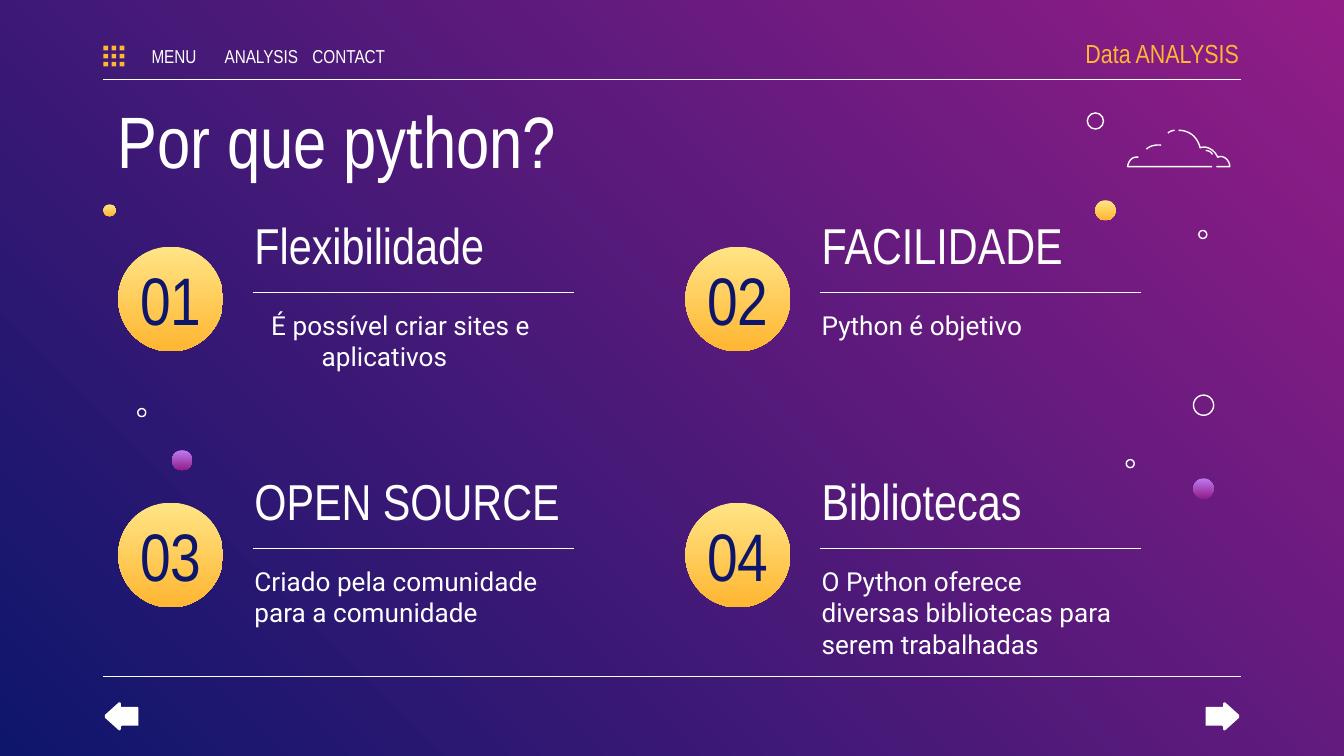
from dataclasses import dataclass
from itertools import product
from typing import Optional

import lxml.etree
import pptx
import pptx.dml.color
import pptx.dml.fill
import pptx.enum.shapes
import pptx.enum.text
import pptx.oxml.ns
import pptx.util

# All lengths are counted in square grid cells; the slide is 100 columns wide.
COLUMNS, ROWS = 100, 56.25
CELL = pptx.util.Inches(0.1)
LEFT, RIGHT = 7.7, 92.3
CARD_PITCH_X, CARD_PITCH_Y = 42.2, 19.05
DISC = 7.8
LINE_WIDTH = pptx.util.Pt(0.75)

COLORS = {
    "white": "FFFFFF", "navy": "0E166C", "magenta": "921D87",
    "cream": "FFE485", "amber": "FFB632", "lilac": "BE7AF3",
}
GOLD = ("cream", "amber")
PURPLE = ("lilac", "magenta")
DISPLAY, BODY = "Arial Narrow", "Roboto"
SHAPE = pptx.enum.shapes.MSO_SHAPE
ALIGN = pptx.enum.text.PP_ALIGN
ANCHOR = pptx.enum.text.MSO_ANCHOR

Point = tuple[float, float]


@dataclass(frozen=True)
class Box:
    x: float
    y: float
    width: float
    height: float


@dataclass(frozen=True)
class Style:
    size: float
    font: str = DISPLAY
    color: str = "white"
    align: ALIGN = ALIGN.LEFT
    anchor: ANCHOR = ANCHOR.TOP
    inset_left: float = 1
    inset_right: float = 1
    margin: float = 0
    first_line: float = 0


@dataclass(frozen=True)
class Card:
    heading: str
    detail: str
    detail_style: Style
    detail_width: float = 24.4


@dataclass(frozen=True)
class Bubble:
    """A small decorative circle; without a gradient it is an outlined ring."""
    x: float
    y: float
    size: float
    gradient: Optional[tuple[str, str]] = None


TITLE = Style(39)
HEADING = Style(27)
NUMBER = Style(36, color="navy", align=ALIGN.CENTER, anchor=ANCHOR.MIDDLE)
DETAIL = Style(14, BODY)
INDENTED_DETAIL = Style(14, BODY, margin=5, first_line=-3.75)
MENU = Style(10, align=ALIGN.CENTER, anchor=ANCHOR.MIDDLE, inset_left=0, inset_right=0)
BRAND = Style(14, color="amber", align=ALIGN.RIGHT, anchor=ANCHOR.MIDDLE, inset_right=0)

CARDS = [
    Card("Flexibilidade", "É possível criar sites e aplicativos", INDENTED_DETAIL, 26.9),
    Card("FACILIDADE", "Python é objetivo", DETAIL),
    Card("OPEN SOURCE", "Criado pela comunidade para a comunidade", DETAIL),
    Card("Bibliotecas", "O Python oferece diversas bibliotecas para serem trabalhadas", DETAIL),
]
BUBBLES = [
    Bubble(81.5, 14.9, 1.5, GOLD), Bubble(7.7, 15.2, 0.9, GOLD),
    Bubble(88.8, 35.6, 1.5, PURPLE), Bubble(12.8, 33.5, 1.5, PURPLE),
    Bubble(80.9, 8.4, 1.2), Bubble(88.8, 29.4, 1.5),
    Bubble(89.2, 17.15, 0.6), Bubble(83.8, 34.2, 0.6), Bubble(10.25, 30.4, 0.6),
]

# Each outline is a start followed by segments: one point is a line, three a curve.
CLOUD = [
    [[(87.7, 9.7)], [(88.5, 9.7), (89.1, 10.2), (89.3, 11)],
     [(89.8, 10.8), (90.4, 11.2), (90.6, 11.7)],
     [(91, 11.5), (91.5, 11.9), (91.5, 12.4)], [(90.5, 12.4)]],
    [[(87.4, 9.7)], [(87.4, 9.7), (87.1, 9.7), (86.9, 9.9)]],
    [[(90.2, 12.4)], [(83.9, 12.4)], [(83.9, 12.4), (84, 11.6), (84.7, 11.7)]],
    [[(89.7, 11.2)], [(89.7, 11.2), (90.1, 11.2), (90.2, 11.5)]],
    [[(86.4, 10.8)], [(86.4, 10.8), (85.7, 10.7), (85.3, 11.1)]],
]
NEXT_ARROW = [
    [(91.2, 54.3)], [(92.2, 53.4)], [(92.2, 53.4), (92.2, 53.3), (92.2, 53.2)],
    [(91.2, 52.3)], [(91.1, 52.2), (91, 52.3), (91, 52.4)],
    [(91, 52.5)], [(91, 52.6), (91, 52.6), (90.9, 52.6)],
    [(89.8, 52.6)], [(89.7, 52.6), (89.7, 52.7), (89.7, 52.7)],
    [(89.7, 53.9)], [(89.7, 54), (89.7, 54), (89.8, 54)],
    [(90.9, 54)], [(91, 54), (91, 54.1), (91, 54.1)],
    [(91, 54.2)], [(91, 54.3), (91.1, 54.4), (91.2, 54.3)],
]


def emu(cells: float) -> int:
    return round(cells * CELL)


def rgb(name: str) -> pptx.dml.color.RGBColor:
    return pptx.dml.color.RGBColor.from_string(COLORS[name])


def set_gradient(fill: pptx.dml.fill.FillFormat, colors: tuple[str, str], angle: float) -> None:
    fill.gradient()
    fill.gradient_angle = angle
    for stop, color in zip(fill.gradient_stops, colors):
        stop.color.rgb = rgb(color)


def paint(shape, fill: Optional[str] = None, outline: Optional[str] = None) -> None:
    shape.shadow.inherit = False
    if fill:
        shape.fill.solid()
        shape.fill.fore_color.rgb = rgb(fill)
    else:
        shape.fill.background()
    if outline:
        shape.line.color.rgb = rgb(outline)
        shape.line.width = LINE_WIDTH
    else:
        shape.line.fill.background()


def add_rule(shapes, x1: float, x2: float, y: float) -> None:
    rule = shapes.add_connector(
        pptx.enum.shapes.MSO_CONNECTOR.STRAIGHT, emu(x1), emu(y), emu(x2), emu(y))
    rule.line.color.rgb = rgb("white")
    rule.line.width = LINE_WIDTH
    lxml.etree.SubElement(rule._element.spPr, pptx.oxml.ns.qn("a:effectLst"))


def add_text(shapes, text: str, box: Box, style: Style) -> None:
    frame = shapes.add_textbox(*map(emu, (box.x, box.y, box.width, box.height))).text_frame
    frame.word_wrap = True
    frame.vertical_anchor = style.anchor
    frame.margin_left, frame.margin_right = emu(style.inset_left), emu(style.inset_right)
    frame.margin_top = frame.margin_bottom = emu(1)
    frame.text = text
    paragraph = frame.paragraphs[0]
    paragraph.alignment = style.align
    if style.margin:
        properties = paragraph._p.get_or_add_pPr()
        properties.set("marL", str(emu(style.margin)))
        properties.set("indent", str(emu(style.first_line)))
    font = paragraph.runs[0].font
    font.name, font.size = style.font, pptx.util.Pt(style.size)
    font.color.rgb = rgb(style.color)


def add_bubble(shapes, bubble: Bubble) -> None:
    circle = shapes.add_shape(
        SHAPE.OVAL, *map(emu, (bubble.x, bubble.y, bubble.size, bubble.size)))
    paint(circle, outline=None if bubble.gradient else "white")
    if bubble.gradient:
        set_gradient(circle.fill, bubble.gradient, 270)


def flatten(outline: list[list[Point]], steps: int = 12) -> list[Point]:
    """Turn lines and cubic curves into a chain of points."""
    points = [outline[0][0]]
    for segment in outline[1:]:
        if len(segment) == 1:
            points += segment
            continue
        controls = [points[-1], *segment]
        for t in (step / steps for step in range(1, steps + 1)):
            weights = ((1 - t) ** 3, 3 * t * (1 - t) ** 2, 3 * t * t * (1 - t), t ** 3)
            points.append(tuple(
                sum(w * p[axis] for w, p in zip(weights, controls)) for axis in (0, 1)))
    return points


def add_outline(shapes, points: list[Point], closed: bool):
    start, *rest = [(emu(x), emu(y)) for x, y in points]
    builder = shapes.build_freeform(*start)
    builder.add_line_segments(rest, close=closed)
    return builder.convert_to_shape()


def add_card(shapes, index: int, card: Card) -> None:
    row, column = divmod(index, 2)
    x, y = 8.8 + column * CARD_PITCH_X, 18.35 + row * CARD_PITCH_Y
    add_bubble(shapes, Bubble(x, y, DISC, GOLD))
    add_rule(shapes, x + 10, x + 33.9, y + 3.4)
    add_text(shapes, card.heading, Box(x + 9.15, y - 3.45, 30.5, 4.8), HEADING)
    add_text(shapes, f"{index + 1:02}", Box(x, y + 2, DISC, 3.8), NUMBER)
    add_text(shapes, card.detail, Box(x + 9.15, y + 3.65, card.detail_width, 6.2),
             card.detail_style)


def add_header(shapes) -> None:
    icon = shapes.add_group_shape().shapes
    for column, row in product(range(3), repeat=2):
        dot = icon.add_shape(SHAPE.RECTANGLE, emu(LEFT + 0.6 * column),
                             emu(3.4 + 0.6 * row), emu(0.35), emu(0.35))
        paint(dot, fill="amber")
    for index, label in enumerate(["MENU", "ANALYSIS", "CONTACT"]):
        add_text(shapes, label, Box(10.1 + 6.5 * index, 3, 5.7, 2.3), MENU)
    add_text(shapes, "Data ANALYSIS", Box(77.2, 2.3, 15, 3.3), BRAND)


def main() -> None:
    deck = pptx.Presentation()
    deck.slide_width, deck.slide_height = emu(COLUMNS), emu(ROWS)
    slide = deck.slides.add_slide(deck.slide_layouts[6])
    set_gradient(slide.background.fill, ("magenta", "navy"), 225)
    shapes = slide.shapes

    for y in (5.9, 50.35):
        add_rule(shapes, LEFT, RIGHT, y)
    add_header(shapes)
    add_text(shapes, "Por que python?", Box(7.8, 6.1, 84.4, 6.6), TITLE)
    for index, card in enumerate(CARDS):
        add_card(shapes, index, card)

    forward = flatten(NEXT_ARROW)
    for arrow in (forward, [(COLUMNS - x, y) for x, y in forward]):
        paint(add_outline(shapes, arrow, closed=True), fill="white")
    cloud = shapes.add_group_shape().shapes
    for stroke in CLOUD:
        paint(add_outline(cloud, flatten(stroke), closed=False), outline="white")
    for bubble in BUBBLES:
        add_bubble(shapes, bubble)

    deck.save("out.pptx")


if __name__ == "__main__":
    main()
